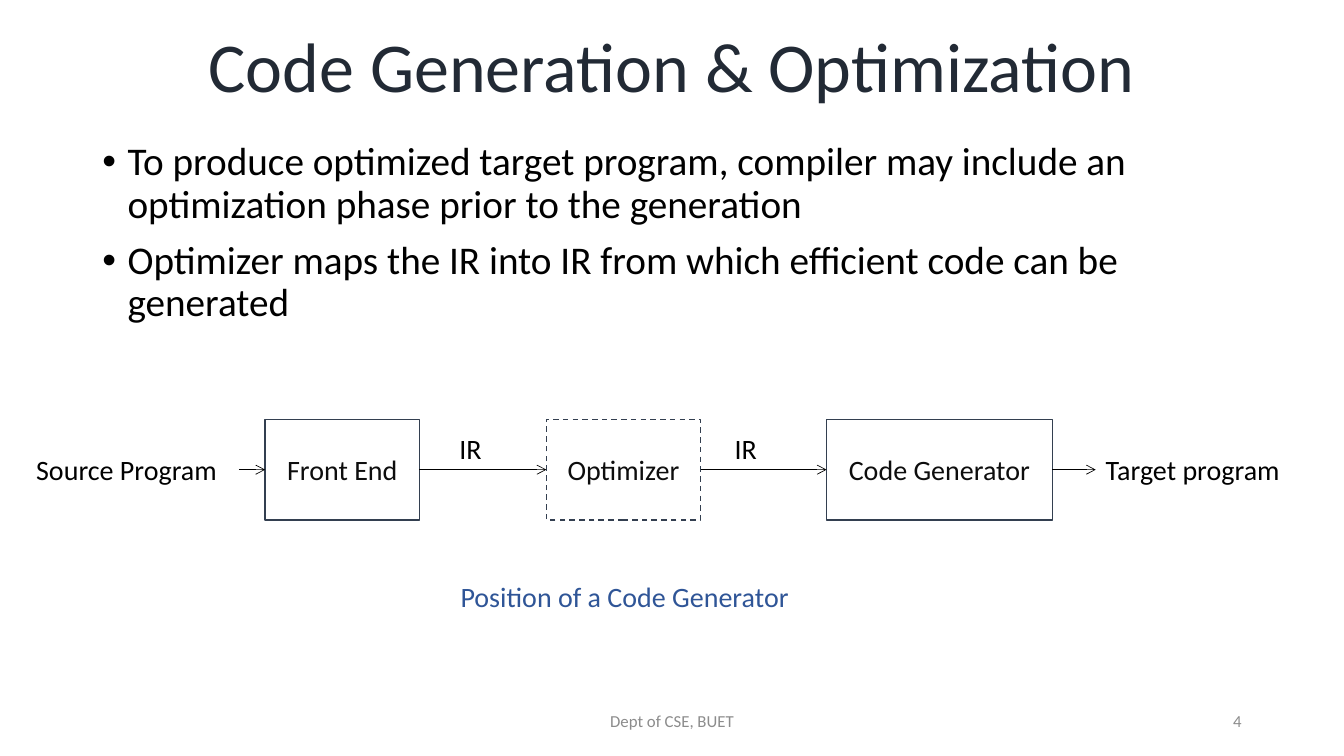
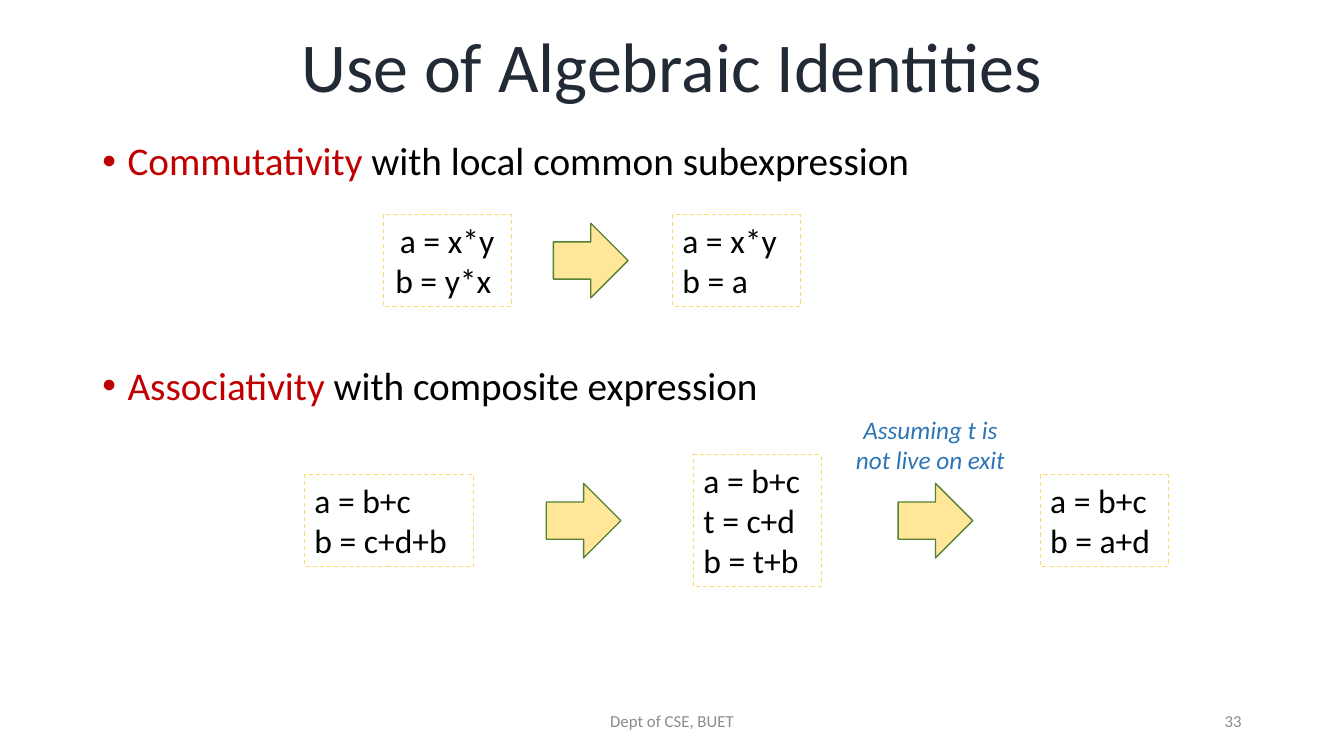
from lxml import etree
from pptx import Presentation
from pptx import util as u
from pptx.dml.color import RGBColor
from pptx.enum import dml, shapes, text
from pptx.oxml import parse_xml
from pptx.oxml.ns import nsdecls, qn

FONT = "Calibri"
COLOURS = {
    "title": "222A35", "body": "000000", "key": "C00000", "footer": "8C8C8C",
    "box line": "333F50", "box text": "0D0D0D", "caption": "2F5597",
    "note": "2E75B6", "code line": "FFD966", "arrow": "FFE699", "arrow line": "548235",
}
COLOURS = {name: RGBColor.from_string(value) for name, value in COLOURS.items()}
LEFT, CENTER, RIGHT = text.PP_ALIGN.LEFT, text.PP_ALIGN.CENTER, text.PP_ALIGN.RIGHT
TOP, MIDDLE = text.MSO_ANCHOR.TOP, text.MSO_ANCHOR.MIDDLE
SHADOW = (
    f'<a:effectLst {nsdecls("a")}><a:outerShdw blurRad="50800" dist="50800" dir="2700000">'
    '<a:srgbClr val="000000"><a:alpha val="40000"/></a:srgbClr></a:outerShdw></a:effectLst>'
)

deck = Presentation()
deck.slide_width, deck.slide_height = u.Inches(13.333), u.Inches(7.5)


def place(left, top, width, height):
    """Turn percentages of the slide's size into lengths."""
    sides = (deck.slide_width, deck.slide_height) * 2
    return [u.Emu(int(side * share / 100)) for side, share in zip(sides, (left, top, width, height))]


def write(shape, words, size, colour, align=LEFT, anchor=TOP):
    """Fill a shape with text in one style."""
    frame = shape.text_frame
    frame.text = words
    frame.word_wrap = True
    frame.auto_size = text.MSO_AUTO_SIZE.NONE
    frame.vertical_anchor = anchor
    for para in frame.paragraphs:
        para.alignment = align
        for span in para.runs:
            span.font.name, span.font.size = FONT, u.Pt(size)
            span.font.color.rgb = COLOURS[colour]
    return frame


# Shared parts: title, bullets and footer; a bullet is (key word, rest)
contents = [
    ("Code Generation & Optimization", "4", 10, [
        ("", "To produce optimized target program, compiler may include an "
             "optimization phase prior to the generation"),
        ("", "Optimizer maps the IR into IR from which efficient code can be generated")]),
    ("Use of Algebraic Identities", "33", 130, [
        ("Commutativity", " with local common subexpression"),
        ("Associativity", " with composite expression")]),
]
pages = []
for heading, number, gap, bullets in contents:
    page = deck.slides.add_slide(deck.slide_layouts[5])
    pages.append(page)

    title = page.shapes.title
    title.left, title.top, title.width, title.height = place(6.88, 0.27, 86.25, 17.87)
    para = write(title, heading, 50, "title", CENTER, MIDDLE).paragraphs[0]
    para.line_spacing = 0.9
    para.runs[0]._r.rPr.find(qn("a:solidFill")).addnext(parse_xml(SHADOW))

    body = page.shapes.add_textbox(*place(6.88, 18.13, 86.25, 71.87))
    frame = write(body, "\n".join(rest for _, rest in bullets), 28, "body")
    for index, (para, (key, rest)) in enumerate(zip(frame.paragraphs, bullets)):
        para.line_spacing = 0.9
        para.space_before = u.Pt(gap if index else 0)
        properties = para._p.get_or_add_pPr()
        properties.set("marL", str(u.Inches(0.25)))
        properties.set("indent", str(-u.Inches(0.25)))
        etree.SubElement(properties, qn("a:buFont")).set("typeface", "Arial")
        etree.SubElement(properties, qn("a:buChar")).set("char", "•")
        if key:
            para.text = key
            para.add_run().text = rest
            for span, colour in zip(para.runs, ("key", "body")):
                span.font.name, span.font.size = FONT, u.Pt(28)
                span.font.color.rgb = COLOURS[colour]

    for left, width, words, align in [(33.13, 33.75, "Dept of CSE, BUET", CENTER),
                                      (70.63, 22.5, number, RIGHT)]:
        box = page.shapes.add_textbox(*place(left, 92.67, width, 5.33))
        write(box, words, 12, "footer", align, MIDDLE)

pipeline, identities = pages

# Pipeline: labels and boxes centred on one row
ROW, BOX, LABEL = 62.13, 13.33, 5.87
nodes = []
for words, left, width, dash in [
    ("Source Program", 1.95, 15.83, None),
    ("Front End", 19.73, 11.48, dml.MSO_LINE.SOLID),
    ("Optimizer", 40.65, 11.48, dml.MSO_LINE.DASH),
    ("Code Generator", 61.5, 16.8, dml.MSO_LINE.SOLID),
    ("Target program", 81.53, 16.58, None),
]:
    if dash is None:
        node = pipeline.shapes.add_textbox(*place(left, ROW - LABEL / 2, width, LABEL))
        write(node, words, 20, "body")
    else:
        node = pipeline.shapes.add_shape(
            shapes.MSO_SHAPE.RECTANGLE, *place(left, ROW - BOX / 2, width, BOX))
        node.shadow.inherit = False
        node.fill.background()
        node.line.color.rgb, node.line.width = COLOURS["box line"], u.Pt(1)
        node.line.dash_style = dash
        write(node, words, 20, "box text", CENTER, MIDDLE)
    nodes.append(node)

# Pipeline: arrows from each node to the next
for source, target in zip(nodes, nodes[1:]):
    link = pipeline.shapes.add_connector(shapes.MSO_CONNECTOR.STRAIGHT, 0, 0, 0, 0)
    link.begin_connect(source, 3)
    link.end_connect(target, 1)
    link.line.color.rgb, link.line.width = COLOURS["body"], u.Pt(0.5)
    outline = link._element.spPr.find(qn("a:ln"))
    etree.SubElement(outline, qn("a:tailEnd")).set("type", "arrow")
    etree.SubElement(link._element.spPr, qn("a:effectLst"))

# Pipeline: arrow labels and caption
for words, left, top, width, colour in [
    ("IR", 33.45, 56.47, 5.48, "body"),
    ("IR", 53.93, 56.47, 5.48, "body"),
    ("Position of a Code Generator", 33.53, 76, 27, "caption"),
]:
    box = pipeline.shapes.add_textbox(*place(left, top, width, LABEL))
    write(box, words, 20, colour)

# Identities: code boxes, as tall as their lines, centred on two rows
FIRST, SECOND = 34.47, 68.87
for words, left, middle, width, align in [
    ("a = x*y\nb = y*x ", 28.5, FIRST, 9.53, CENTER),
    ("a = x*y\nb = a", 50.03, FIRST, 9.53, LEFT),
    ("a = b+c\nb = c+d+b", 22.65, SECOND, 12.6, LEFT),
    ("a = b+c\nt = c+d\nb = t+b", 51.6, SECOND, 9.53, LEFT),
    ("a = b+c\nb = a+d", 77.4, SECOND, 9.53, LEFT),
]:
    height = 1.47 + 5.33 * len(words.split("\n"))
    code = identities.shapes.add_shape(
        shapes.MSO_SHAPE.RECTANGLE, *place(left, middle - height / 2, width, height))
    code.shadow.inherit = False
    code.fill.background()
    code.line.color.rgb, code.line.width = COLOURS["code line"], u.Pt(0.75)
    code.line.dash_style = dml.MSO_LINE.DASH
    write(code, words, 24, "body", align)

# Identities: block arrows between the code boxes
for left, middle in [(41.18, FIRST), (40.65, SECOND), (66.83, SECOND)]:
    arrow = identities.shapes.add_shape(
        shapes.MSO_SHAPE.RIGHT_ARROW, *place(left, middle - 9.87 / 2, 5.55, 9.87))
    arrow.shadow.inherit = False
    arrow.fill.solid()
    arrow.fill.fore_color.rgb = COLOURS["arrow"]
    arrow.line.color.rgb, arrow.line.width = COLOURS["arrow line"], u.Pt(1)

# Identities: note above the last arrow
note = identities.shapes.add_textbox(*place(62.1, 54.13, 14.25, 9.47))
frame = write(note, "Assuming t is not live on exit", 18, "note", CENTER)
frame.paragraphs[0].runs[0].font.italic = True

deck.save("out.pptx")
